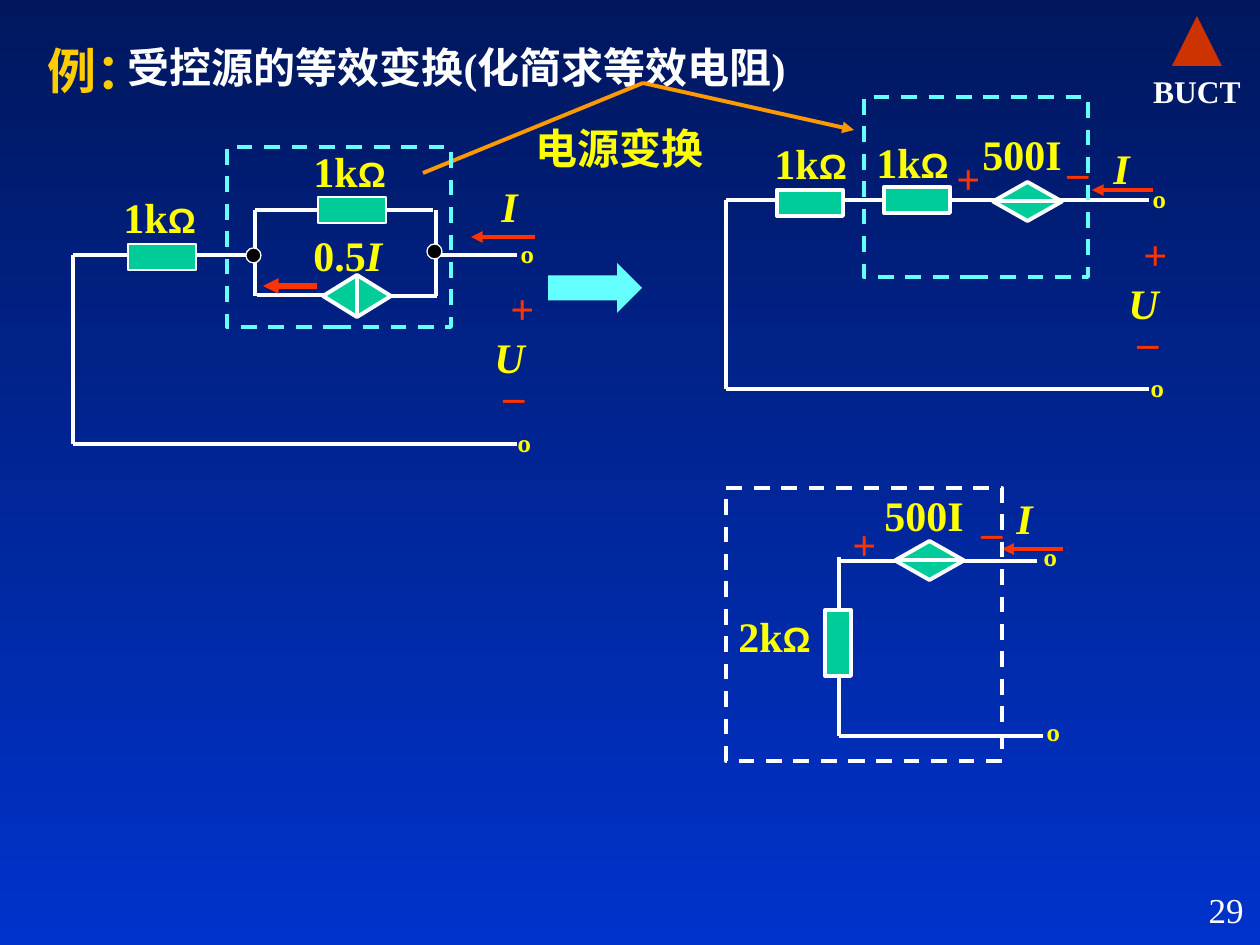
from pptx import Presentation
from pptx import util as u
from pptx.dml.color import RGBColor
from pptx.enum import dml, shapes, text
from pptx.oxml import ns
from lxml import etree

PX = 914400 / 126
WHITE = RGBColor(0xFF, 0xFF, 0xFF)
BLACK = RGBColor(0x00, 0x00, 0x00)
YELLOW = RGBColor(0xFF, 0xFF, 0x00)
GOLD = RGBColor(0xFF, 0xCC, 0x00)
ORANGE = RGBColor(0xFF, 0x99, 0x00)
RED = RGBColor(0xFF, 0x33, 0x00)
BRICK = RGBColor(0xCC, 0x33, 0x00)
GREEN = RGBColor(0x00, 0xCC, 0x99)
CYAN = RGBColor(0x66, 0xFF, 0xFF)
NAVY = RGBColor(0x00, 0x17, 0x5E)
BLUE = RGBColor(0x00, 0x33, 0xCC)
SERIF, CJK = "Times New Roman", "Noto Sans CJK SC"
LEFT, CENTER, RIGHT = text.PP_ALIGN.LEFT, text.PP_ALIGN.CENTER, text.PP_ALIGN.RIGHT

prs = Presentation()
prs.slide_width, prs.slide_height = u.Inches(10), u.Inches(7.5)
slide = prs.slides.add_slide(prs.slide_layouts[5])

backdrop = slide.background.fill
backdrop.gradient()
backdrop.gradient_angle = 270
for stop, color in zip(backdrop.gradient_stops, (NAVY, BLUE)):
    stop.color.rgb = color


def px(*lengths):
    return [round(length * PX) for length in lengths]


def write(x, y, w, runs, color=YELLOW, align=LEFT, box=None, h=63):
    """Put one line of (text, size, font, bold, italic) runs in a box."""
    if box is None:
        box = slide.shapes.add_textbox(0, 0, 0, 0)
    box.left, box.top, box.width, box.height = px(x, y, w, h)
    frame = box.text_frame
    frame.word_wrap = True
    frame.auto_size = text.MSO_AUTO_SIZE.NONE
    frame.vertical_anchor = text.MSO_ANCHOR.TOP
    paragraph = frame.paragraphs[0]
    paragraph.alignment = align
    for words, size, font, bold, italic in runs:
        run = paragraph.add_run()
        run.text = words
        run.font.size, run.font.name = u.Pt(size), font
        run.font.bold, run.font.italic = bold, italic
        run.font.color.rgb = color
        east_asian = etree.SubElement(run.font._element, ns.qn("a:ea"))
        east_asian.set("typeface", CJK)


# Heading
write(35, 34, 140, [("例：", 28, CJK, True, False)], GOLD, h=72)
write(115, 35, 808, [("受控源的等效变换(化简求等效电阻)", 24, SERIF, True, False)],
      WHITE, box=slide.shapes.title)

# Wires, current arrows and callout: x1, y1, x2, y2
parallel_circuit = [
    (73, 255, 73, 444), (73, 255, 255, 255), (73, 444, 517, 444),
    (255, 210, 433, 210), (255, 210, 255, 296), (257, 295, 324, 295),
    (392, 296, 437, 296), (436, 210, 436, 296), (433, 255, 517, 255),
]
series_circuit = [
    (726, 200, 726, 389), (726, 200, 900, 200),
    (726, 389, 1149, 389), (949, 200, 1149, 200),
]
reduced_circuit = [
    (837, 561, 1037, 561), (839, 557, 839, 736), (839, 736, 1043, 736),
]
currents = [(535, 237, 471, 237), (1153, 190, 1092, 190), (1063, 549, 1002, 549)]
line_groups = [
    (parallel_circuit + series_circuit + reduced_circuit, WHITE, 2.25, False),
    (currents, RED, 2.25, True),
    ([(317, 286, 263, 286)], RED, 3, True),
    ([(423, 173, 643, 83)], ORANGE, 2.25, False),
    ([(643, 83, 854, 130)], ORANGE, 2.25, True),
]
for segments, color, weight, arrow in line_groups:
    for segment in segments:
        wire = slide.shapes.add_connector(shapes.MSO_CONNECTOR.STRAIGHT, *px(*segment))
        wire.line.color.rgb = color
        wire.line.width = u.Pt(weight)
        if arrow:
            tail = etree.SubElement(wire.line._get_or_add_ln(), ns.qn("a:tailEnd"))
            tail.set("type", "triangle")
        etree.SubElement(wire._element.spPr, ns.qn("a:effectLst"))

# Components: preset, x, y, w, h, fill, line colour, line width, dashed
kind = shapes.MSO_SHAPE
RESISTOR, SOURCE, NODE = kind.RECTANGLE, kind.FLOWCHART_SORT, kind.OVAL
components = [
    (RESISTOR, 128, 244, 68, 26, GREEN, WHITE, 1, False),
    (RESISTOR, 318, 197, 68, 26, GREEN, WHITE, 1, False),
    (RESISTOR, 777, 190, 66, 26, GREEN, WHITE, 2.25, False),
    (RESISTOR, 884, 187, 66, 26, GREEN, WHITE, 2.25, False),
    (RESISTOR, 825, 610, 26, 66, GREEN, WHITE, 2.25, False),
    (SOURCE, 336, 262, 42, 68, GREEN, WHITE, 2.25, False),
    (SOURCE, 993, 182, 69, 39, GREEN, WHITE, 2.25, False),
    (SOURCE, 895, 541, 69, 39, GREEN, WHITE, 2.25, False),
    (NODE, 246, 248, 15, 15, BLACK, WHITE, 0.75, False),
    (NODE, 427, 244, 15, 15, BLACK, WHITE, 0.75, False),
    (kind.RECTANGLE, 227, 147, 224, 180, None, CYAN, 2.25, True),
    (kind.RECTANGLE, 864, 97, 224, 180, None, CYAN, 2.25, True),
    (kind.RECTANGLE, 726, 488, 276, 273, None, WHITE, 2.25, True),
    (kind.RIGHT_ARROW, 548, 263, 94, 50, CYAN, None, 0, False),
    (kind.ISOSCELES_TRIANGLE, 1172, 16, 50, 50, BRICK, None, 0, False),
]
for preset, x, y, w, h, fill, edge, weight, dashed in components:
    part = slide.shapes.add_shape(preset, *px(x, y, w, h))
    part.shadow.inherit = False
    if fill is None:
        part.fill.background()
    else:
        part.fill.solid()
        part.fill.fore_color.rgb = fill
    if edge is None:
        part.line.fill.background()
    else:
        part.line.color.rgb = edge
        part.line.width = u.Pt(weight)
    if dashed:
        part.line.dash_style = dml.MSO_LINE.DASH
    if preset == SOURCE and h > w:
        part.rotation = 270

# Resistances
for x, y, value in [(111, 185, "1k"), (301, 139, "1k"), (762, 131, "1k"),
                    (864, 130, "1k"), (726, 604, "2k")]:
    write(x, y, 135, [(value, 24, SERIF, True, False), ("Ω", 20, "Arial", True, False)])

# Sources, currents, voltages, polarities and terminals
write(301, 223, 117, [("0.5", 24, SERIF, True, False), ("I", 24, SERIF, True, True)])
symbols = [
    ("500I", 146, YELLOW, False, LEFT, [(970, 122), (872, 483)]),
    ("I", 27, YELLOW, True, LEFT, [(489, 174), (1101, 136), (1004, 486)]),
    ("U", 75, YELLOW, True, CENTER, [(472, 325), (1106, 271)]),
    ("+", 27, RED, False, CENTER, [(498, 276), (1131, 222), (944, 146), (840, 512)]),
    ("_", 34, RED, False, CENTER, [(491, 349), (1055, 125), (1125, 295), (969, 485)]),
    ("º", 28, YELLOW, False, CENTER, [(508, 231), (505, 420), (1140, 176),
                                      (1138, 365), (1031, 534), (1034, 709)]),
    ("电源变换", 202, YELLOW, False, LEFT, [(523, 116)]),
]
for symbol, w, color, italic, align, places in symbols:
    for x, y in places:
        write(x, y, w, [(symbol, 24, SERIF, True, italic)], color, align)

# Institution and page number
write(1137, 66, 120, [("BUCT", 18, SERIF, True, False)], WHITE, CENTER, h=50)
write(994, 882, 262, [("29", 20, SERIF, False, False)], WHITE, RIGHT)

prs.save("out.pptx")
